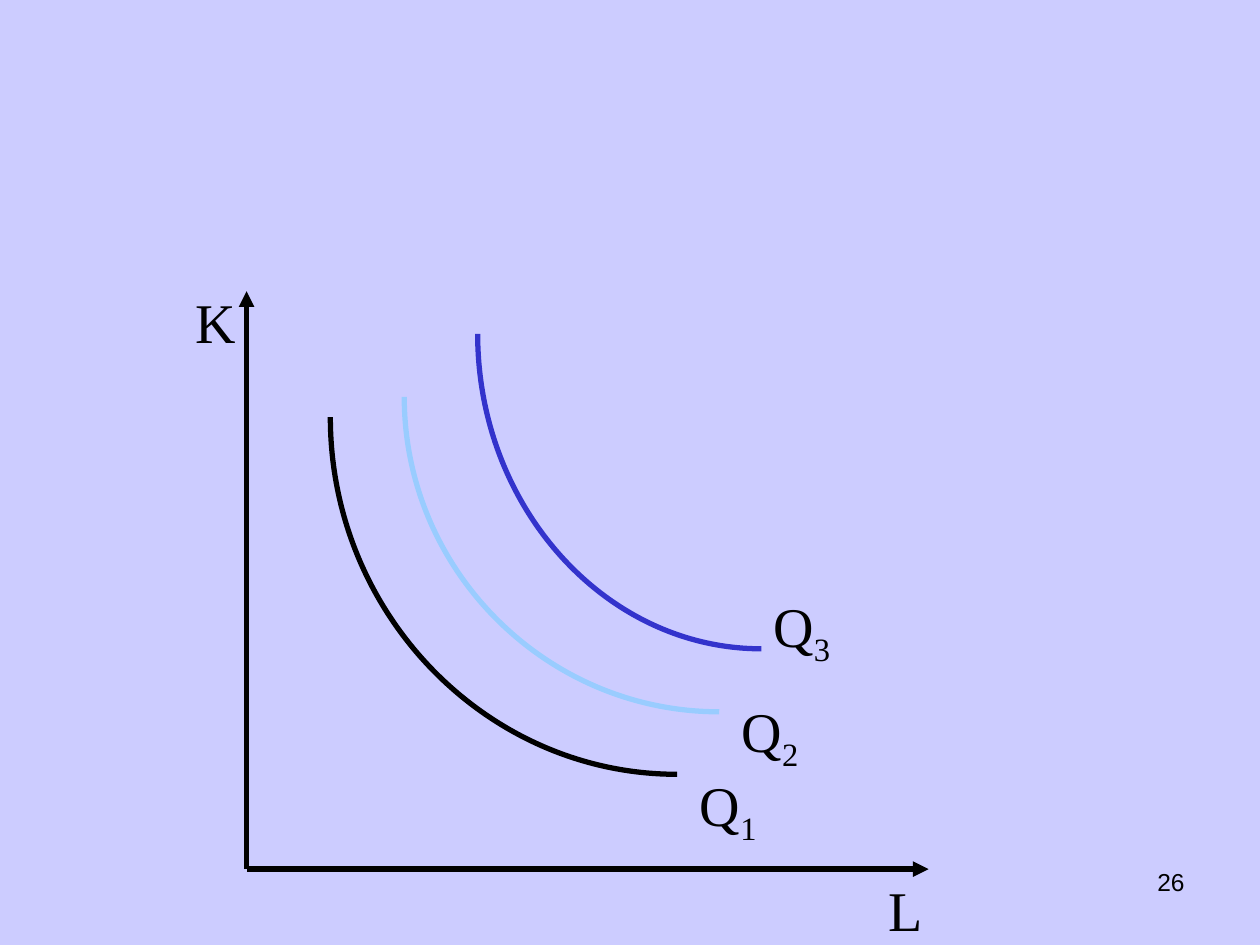
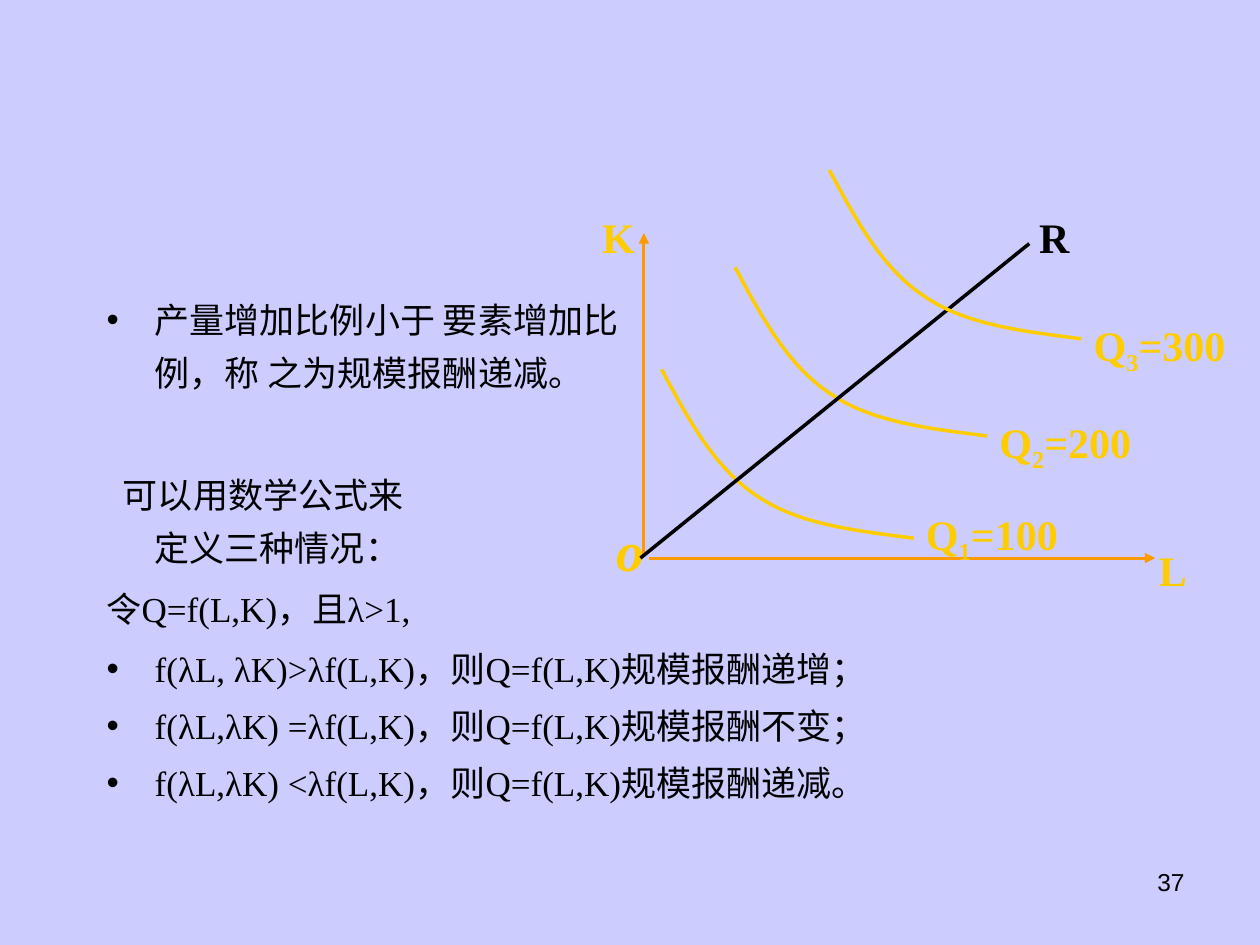
from lxml.etree import SubElement as Sub
from pptx import Presentation
from pptx.dml.color import RGBColor
from pptx.enum.shapes import MSO_CONNECTOR as Link
from pptx.enum.text import PP_ALIGN as Align
from pptx.oxml.ns import qn
from pptx.util import Cm, Pt

BACK, BLACK, SKY, BLUE = "CCCCFF", "000000", "99CCFF", "3333CC"
GOLD, ORANGE = "FFCC00", "FF9900"
SERIF, SANS = "Times New Roman", "Arial"
PLAIN = (0.25, 0.13, 0.25, 0.13)
LOWER = (0.25, 1.16, 0.25, 0.13)
TIGHT = (0.71, 0, 0.1, 0.43)
SUNK = (0.71, 0.76, 0.1, 0.43)
BEND = [(0, 0), (0.53, 0.99), (1.06, 1.98), (1.91, 2.54),
        (2.74, 3.12), (3.91, 3.25), (5.08, 3.4)]
HANG = 0.97


def paint(code):
    return RGBColor.from_string(code)


class Deck:
    def __init__(self):
        self.file = Presentation()
        self.file.slide_width, self.file.slide_height = Cm(25.4), Cm(19.05)
        fill = self.file.slide_master.background.fill
        fill.solid()
        fill.fore_color.rgb = paint(BACK)

    def page(self, number):
        self.slide = self.file.slides.add_slide(self.file.slide_layouts[6])
        frame = self.frame((18.21, 17.35, 5.92, 1.32))
        self.para(frame, number, 14, font=SANS, align=Align.RIGHT)

    def frame(self, box, pads=PLAIN, wrap=True):
        frame = self.slide.shapes.add_textbox(*map(Cm, box)).text_frame
        frame.word_wrap = wrap
        (frame.margin_left, frame.margin_top,
         frame.margin_right, frame.margin_bottom) = map(Cm, pads)
        return frame

    def para(self, frame, words, size, color=BLACK, font=SERIF, align=None,
             bold=None, slant=None, space=None, gap=None, left=None,
             shift=0, mark=False):
        parts = (words,) if isinstance(words, str) else words
        para = frame.paragraphs[0]
        if para.runs:
            para = frame.add_paragraph()
        para.text = parts[0]
        for i, part in enumerate(parts[1:], 1):
            run = para.add_run()
            run.text = part
            if i % 2:
                run._r.get_or_add_rPr().set("baseline", "-25000")
        if left is not None:
            props = para._p.get_or_add_pPr()
            props.set("marL", str(Cm(left)))
            props.set("indent", str(Cm(shift)))
            if mark:
                Sub(props, qn("a:buFont")).set("typeface", SANS)
                Sub(props, qn("a:buChar")).set("char", "•")
        para.alignment, para.line_spacing = align, space
        if gap:
            para.space_before = Pt(gap)
        style = para.font
        style.name, style.size = font, Pt(size)
        style.bold, style.italic = bold, slant
        style.color.rgb = paint(color)

    def item(self, frame, words, space, gap=5, shift=-HANG, **more):
        self.para(frame, words, 20, space=space, gap=gap, left=HANG,
                  shift=shift, **more)

    def label(self, box, words):
        self.para(self.frame(box), words, 32)

    def tag(self, box, words, color=GOLD, size=24, slant=None, pads=TIGHT):
        self.para(self.frame(box, pads, False), words, size, color,
                  align=Align.CENTER, bold=True, slant=slant, space=1.4)

    def line(self, start, end, color, width, arrow=True):
        line = self.slide.shapes.add_connector(
            Link.STRAIGHT, *map(Cm, start + end))
        line.line.color.rgb = paint(color)
        line.line.width = Pt(width)
        if arrow:
            Sub(line.get_or_add_ln(), qn("a:tailEnd")).set("type", "triangle")
        Sub(line._element.spPr, qn("a:effectLst"))

    def curve(self, points, color, width):
        spots = [(Cm(x), Cm(y)) for x, y in points]
        pen = self.slide.shapes.build_freeform(*spots[0])
        pen.add_line_segments(spots[1:], close=False)
        shape = pen.convert_to_shape()
        route = next(shape._element.iter(qn("a:path")))
        steps = route.findall(qn("a:lnTo"))
        for i in range(0, len(steps), 3):
            bend = Sub(route, qn("a:cubicBezTo"))
            for step in steps[i:i + 3]:
                bend.append(step[0])
                route.remove(step)
        shape.shadow.inherit = False
        shape.fill.background()
        shape.line.color.rgb = paint(color)
        shape.line.width = Pt(width)

    def arc(self, x, y, wide, high, color):
        k = 0.55
        self.curve([(x + wide, y + high), (x + (1 - k) * wide, y + high),
                    (x, y + k * high), (x, y)], color, 3)

    def level(self, x, y, top, index):
        self.curve([(x + a, y + b) for a, b in BEND], GOLD, 2)
        self.tag((x + 4.23, top, 4.24, 2.06), ("Q", f"{index}", f"={index}00"))


def main():
    deck = Deck()

    deck.page("26")
    deck.label((17.66, 17.52, 2.11, 1.63), "L")
    base = (4.97, 17.52)
    for tip in ((18.72, 17.52), (4.97, 5.87)):
        deck.line(base, tip, BLACK, 3)
    deck.label((3.7, 5.66, 1.07, 1.63), "K")
    deck.arc(6.66, 8.41, 6.99, 7.2, BLACK)
    deck.arc(8.15, 8, 6.35, 6.35, SKY)
    deck.arc(9.63, 6.73, 5.72, 6.35, BLUE)
    boxes = [(13.86, 15.4, 2.11, 1.8), (14.7, 13.92, 2.34, 4.04),
             (15.34, 11.8, 2.74, 4.04)]
    for i, box in enumerate(boxes, 1):
        deck.label(box, ("Q", f"{i}"))

    deck.page("37")
    frame = deck.frame((1.9, 4.65, 11, 8.69), LOWER)
    deck.item(frame, "产量增加比例小于 要素增加比例，称 之为规模报酬递减。",
              1.25, gap=None, font=SANS, mark=True)
    deck.item(frame, "可以用数学公式来\n定义三种情况：", 1.25, gap=40,
              shift=-0.64, font=SANS)
    deck.item(frame, "令Q=f(L,K)，且λ>1,", 1.25)
    deck.line((13.08, 11.25), (23.29, 11.25), ORANGE, 1.75)
    deck.line((12.98, 11.2), (12.98, 4.7), ORANGE, 1.75)
    deck.tag((11.71, 9.09, 1.37, 3.1), "o", size=32, slant=True, pads=SUNK)
    deck.tag((22.65, 10.57, 1.37, 1.85), "L")
    deck.tag((11.43, 3.86, 1.47, 1.85), "K")
    deck.level(13.34, 7.45, 9.78, 1)
    deck.level(14.82, 5.39, 7.93, 2)
    deck.line((12.91, 11.25), (20.75, 4.91), BLACK, 2, arrow=False)
    deck.tag((19.26, 3.86, 3.38, 1.85), "R", BLACK)
    deck.level(16.72, 3.43, 5.97, 3)
    frame = deck.frame((1.9, 12.79, 23.06, 4.78))
    cases = [("f(λL, λK)>", "递增；"), ("f(λL,λK) =", "不变；"),
             ("f(λL,λK) <", "递减。")]
    for i, (left, end) in enumerate(cases):
        deck.item(frame, f"{left}λf(L,K)，则Q=f(L,K)规模报酬{end}", 1.15,
                  gap=5 if i else None, mark=True)

    deck.file.save("out.pptx")


if __name__ == "__main__":
    main()
